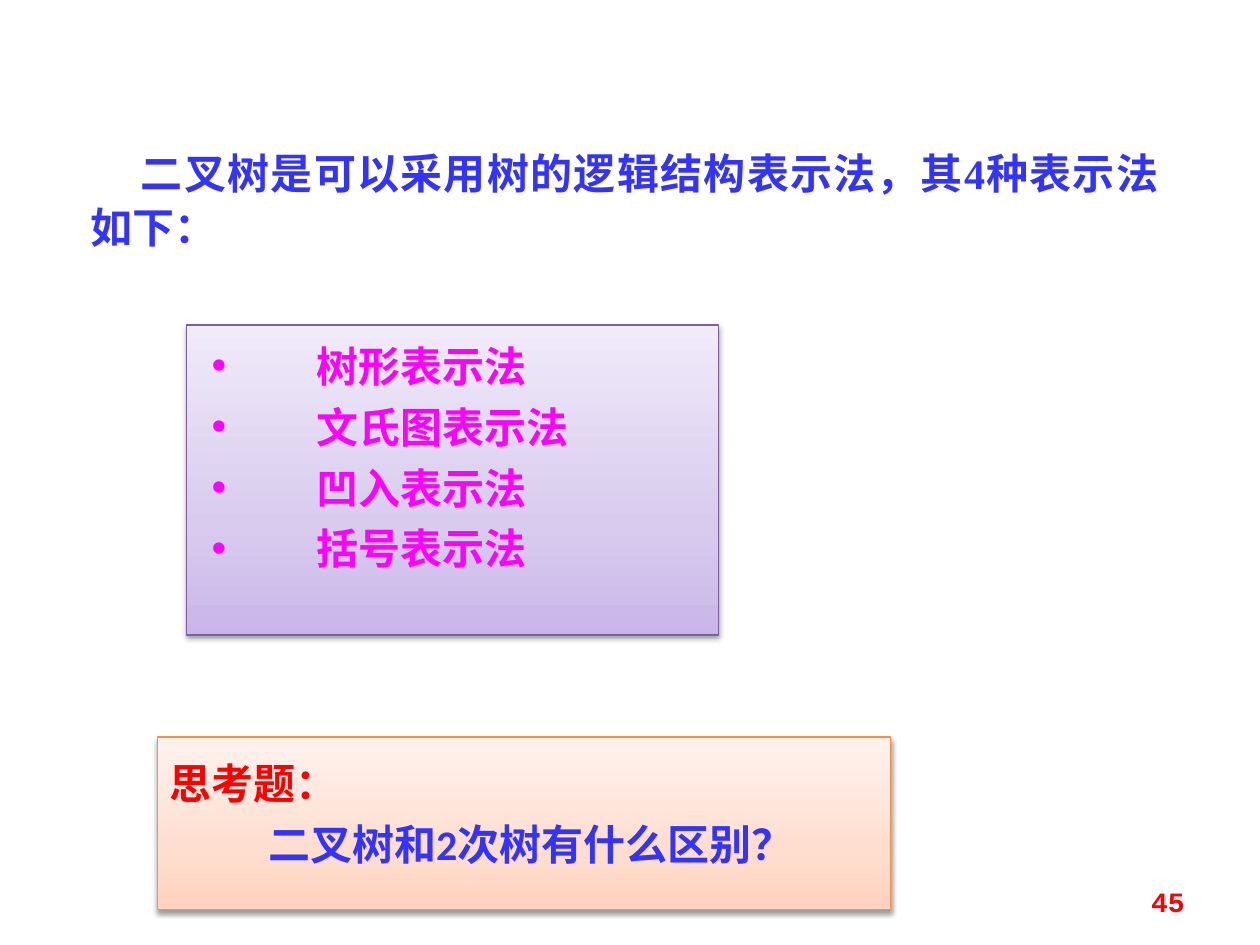
from lxml.etree import SubElement as Sub
from pptx import Presentation
from pptx.dml.color import RGBColor as RGB
from pptx.enum.shapes import MSO_SHAPE as Shape
from pptx.enum.text import MSO_ANCHOR as Anchor, PP_ALIGN as Align
from pptx.oxml.ns import qn
from pptx.util import Inches, Pt

COLORS = {"blue": "3333FF", "pink": "FF00FF", "red": "FF0000", "shade": "000000",
          "violet": "7D60A0", "orange": "F69240"}
VIOLETS = ["C9B5E8", "D8CBEE", "F0EAF9"]
PEACHES = ["FFD2BD", "FFDED0", "FFF2ED"]
STOPS = [0, 35, 100]
HAN = "Noto Sans CJK SC"
METHODS = ["树形表示法", "文氏图表示法", "凹入表示法", "括号表示法"]


def set_frame(shape, insets=(0.1, 0.05, 0.1, 0.05), anchor=Anchor.TOP):
    frame = shape.text_frame
    frame.word_wrap = True
    frame.vertical_anchor = anchor
    (frame.margin_left, frame.margin_top,
     frame.margin_right, frame.margin_bottom) = map(Inches, insets)
    return frame


def add_line(frame, text, color, face=HAN, size=24, left=0, first=0,
             align=Align.LEFT, bullet=None):
    """Fill the first empty paragraph, or add one with a gap above it."""
    para = frame.paragraphs[0]
    if para.runs:
        para = frame.add_paragraph()
        para.space_before = Pt(6)
    para.alignment = align
    props = para._p.get_or_add_pPr()
    props.set("marL", str(Inches(left)))
    props.set("indent", str(Inches(first)))
    if bullet:
        Sub(props, qn("a:buFont"), typeface="Arial")
        Sub(props, qn("a:buChar"), char=bullet)
    run = para.add_run()
    run.text = text
    font = para.font
    font.name, font.size, font.bold = face, Pt(size), True
    font.color.rgb = RGB.from_string(COLORS[color])
    # East Asian face, on the run and on the paragraph alike
    for rpr in (props.find(qn("a:defRPr")), run._r.get_or_add_rPr()):
        Sub(rpr, qn("a:ea"), typeface=HAN)
    return para


def add_panel(slide, box, shades, edge, insets):
    """Rectangle with an upward gradient and a soft shadow."""
    panel = slide.shapes.add_shape(Shape.RECTANGLE, *map(Inches, box))
    panel.line.color.rgb = RGB.from_string(COLORS[edge])
    panel.line.width = Pt(0.75)
    panel.fill.gradient()
    panel.fill.gradient_angle = 90
    props = panel._element.spPr
    stops = props.find(f".//{qn('a:gsLst')}")
    stops[:] = []
    for place, shade in zip(STOPS, shades):
        stop = Sub(stops, qn("a:gs"), pos=str(place * 1000))
        Sub(stop, qn("a:srgbClr"), val=shade)
    panel.shadow.inherit = False
    shadow = Sub(props.find(qn("a:effectLst")), qn("a:outerShdw"),
                 blurRad=str(Pt(3.1)), dist=str(Pt(1.6)), dir="5400000", rotWithShape="0")
    tint = Sub(shadow, qn("a:srgbClr"), val=COLORS["shade"])
    Sub(tint, qn("a:alpha"), val="38000")
    return set_frame(panel, insets)


def add_intro(slide, box):
    frame = set_frame(slide.shapes.add_textbox(*map(Inches, box)))
    para = add_line(frame, "二叉树是可以采用树的逻辑结构表示法，其4种表示法如下：", "blue",
                    "Times New Roman", first=0.4, align=Align.JUSTIFY)
    para.line_spacing = 1.07


def add_methods(slide, box):
    frame = add_panel(slide, box, VIOLETS, "violet", (0.2, 0.12, 0.2, 0.12))
    for name in METHODS:
        add_line(frame, name, "pink", left=0.83, first=-0.83,
                 align=Align.JUSTIFY, bullet="•")


def add_question(slide, box):
    frame = add_panel(slide, box, PEACHES, "orange", (0.1, 0.16, 0.1, 0.2))
    add_line(frame, "思考题：", "red")
    add_line(frame, "二叉树和2次树有什么区别？", "blue", "Calibri", first=0.78)


def add_number(slide, box):
    frame = set_frame(slide.shapes.add_textbox(*map(Inches, box)), anchor=Anchor.MIDDLE)
    add_line(frame, "45", "red", "Courier New", 16, align=Align.RIGHT)


def main():
    deck = Presentation()
    deck.slide_width, deck.slide_height = Inches(10), Inches(7.5)
    slide = deck.slides.add_slide(deck.slide_layouts[6])
    add_intro(slide, (0.62, 1.09, 8.67, 1.15))
    add_methods(slide, (1.48, 2.58, 4.22, 2.46))
    add_question(slide, (1.25, 5.85, 5.82, 1.37))
    add_number(slide, (7.17, 6.95, 2.33, 0.4))
    deck.save("out.pptx")


if __name__ == "__main__":
    main()
